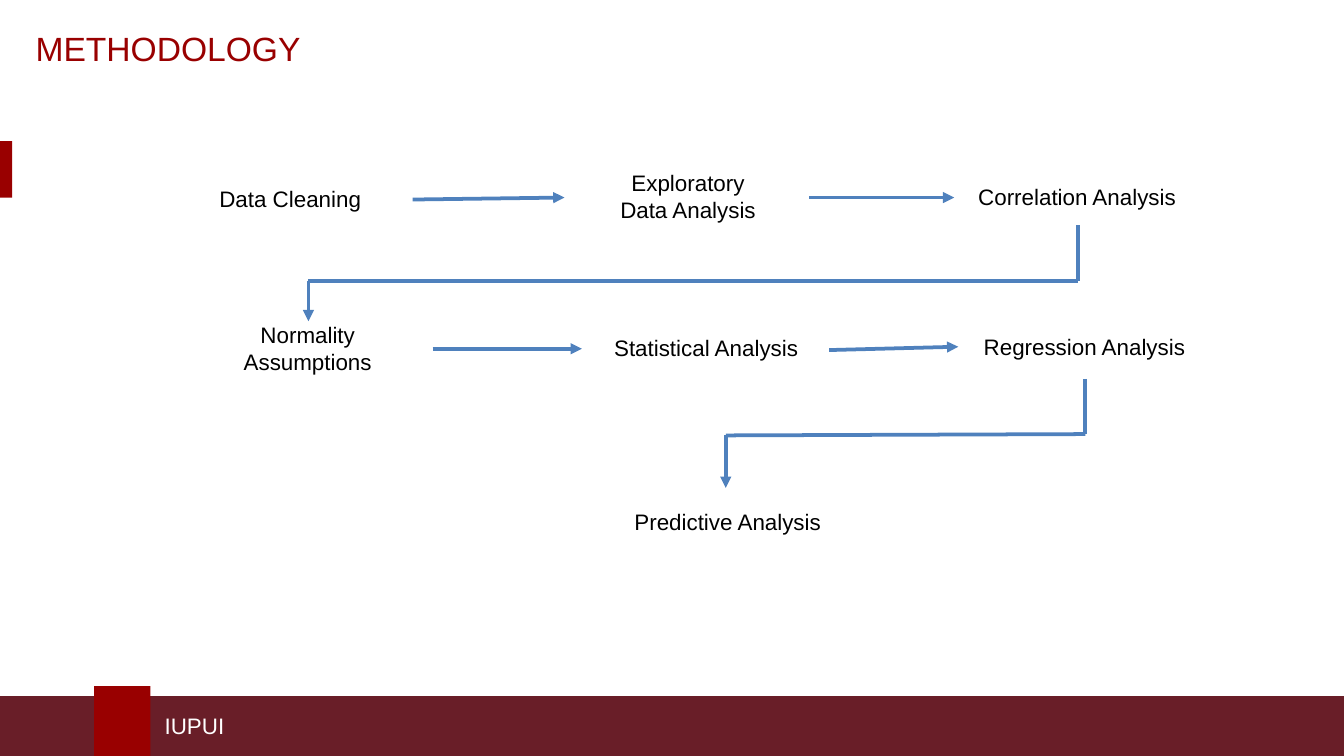
from dataclasses import dataclass
from itertools import pairwise

from lxml import etree
from pptx import Presentation
from pptx.dml.color import RGBColor
from pptx.enum.shapes import MSO_CONNECTOR, MSO_SHAPE
from pptx.enum.text import MSO_ANCHOR, MSO_AUTO_SIZE, PP_ALIGN
from pptx.oxml.ns import qn
from pptx.util import Inches, Length, Pt

RECTANGLE = MSO_SHAPE.RECTANGLE
STRAIGHT = MSO_CONNECTOR.STRAIGHT
TOP = MSO_ANCHOR.TOP
NO_AUTOFIT = MSO_AUTO_SIZE.NONE
LEFT, CENTER = PP_ALIGN.LEFT, PP_ALIGN.CENTER
TITLE_ONLY = 5

# The slide is a grid of square cells, 100 columns by 56.25 rows
CELL = 0.1
COLUMNS, ROWS = 100, 56.25
FONT = "Arial"
RED, MAROON, BLUE = "990000", "691E28", "4F81BD"
BLACK, WHITE = "000000", "FFFFFF"


@dataclass(frozen=True)
class Area:
    column: float
    row: float
    columns: float
    rows: float


@dataclass(frozen=True)
class Block:
    area: Area
    color: str


@dataclass(frozen=True)
class Label:
    text: str
    area: Area
    color: str = BLACK
    size: int = 12
    alignment: int = CENTER
    top_inset: float = 0.1


@dataclass(frozen=True)
class Arrow:
    points: tuple[tuple[float, float], ...]


# Side mark and footer band with its tab, which overlaps the band slightly
BAND_ROW, TAB_ROW, TAB_START, TAB_END = 51.8, 51.05, 7, 11.2
BLOCKS = [
    Block(Area(0, 10.5, 0.9, 4.2), RED),
    Block(Area(0, BAND_ROW, TAB_START, ROWS - BAND_ROW), MAROON),
    Block(Area(TAB_END - 0.1, BAND_ROW, COLUMNS - TAB_END + 0.1,
               ROWS - BAND_ROW), MAROON),
    Block(Area(TAB_START, TAB_ROW, TAB_END - TAB_START, ROWS - TAB_ROW), RED),
]

TITLE = Label("METHODOLOGY", Area(2.65, 2, 20, 3.3), RED, 18, LEFT)
FOOTER = Label("IUPUI", Area(12.25, 53, 4.7, 2.1), WHITE, 12, LEFT, 0)

STEPS = [
    Label("Data Cleaning", Area(16.2, 13.65, 10.8, 2.3)),
    Label("Exploratory\vData Analysis", Area(46, 12.5, 10.4, 4.3)),
    Label("Correlation Analysis", Area(72.6, 13.5, 15.1, 2.3)),
    Label("Normality\vAssumptions", Area(18, 23.8, 9.8, 4.3)),
    Label("Statistical Analysis", Area(45.55, 24.8, 14, 2.3)),
    Label("Regression Analysis", Area(73, 24.7, 15.4, 2.3)),
    Label("Predictive Analysis", Area(47.05, 37.7, 14.2, 2.3)),
]

ARROWS = [
    Arrow(((30.7, 14.85), (42, 14.7))),
    Arrow(((60.2, 14.7), (71, 14.7))),
    Arrow(((80.2, 16.75), (80.2, 20.9), (22.95, 20.9), (22.95, 23.9))),
    Arrow(((32.2, 25.95), (43.3, 25.95))),
    Arrow(((61.7, 26.05), (71.3, 25.8))),
    Arrow(((80.75, 28.2), (80.75, 32.3), (54, 32.4), (54, 36.3))),
]


def cells(count: float) -> Length:
    return Inches(count * CELL)


def rgb(value: str) -> RGBColor:
    return RGBColor.from_string(value)


def bounds(area: Area) -> list[Length]:
    return [cells(n) for n in (area.column, area.row, area.columns, area.rows)]


def apply(target, values: dict) -> None:
    for name, value in values.items():
        setattr(target, name, value)


def draw_block(slide, block: Block) -> None:
    shape = slide.shapes.add_shape(RECTANGLE, *bounds(block.area))
    shape.shadow.inherit = False
    shape.fill.solid()
    shape.fill.fore_color.rgb = rgb(block.color)
    shape.line.fill.background()


def write_label(shape, label: Label) -> None:
    frame = shape.text_frame
    apply(frame, {
        "text": label.text,
        "word_wrap": False,
        "auto_size": NO_AUTOFIT,
        "vertical_anchor": TOP,
        "margin_left": 0,
        "margin_right": 0,
        "margin_top": cells(label.top_inset),
        "margin_bottom": 0,
    })
    paragraph = frame.paragraphs[0]
    apply(paragraph, {"alignment": label.alignment, "line_spacing": 1.0,
                      "space_before": Pt(0)})
    for run in paragraph.runs:
        apply(run.font, {"name": FONT, "size": Pt(label.size), "bold": False})
        run.font.color.rgb = rgb(label.color)


def draw_label(slide, label: Label) -> None:
    write_label(slide.shapes.add_textbox(*bounds(label.area)), label)


def draw_arrow(slide, arrow: Arrow) -> None:
    for start, end in pairwise(arrow.points):
        connector = slide.shapes.add_connector(
            STRAIGHT, *[cells(n) for n in (*start, *end)])
        connector.line.color.rgb = rgb(BLUE)
        connector.line.width = Pt(2)
        properties = connector.element.spPr
        etree.SubElement(properties, qn("a:effectLst"))
        # Only the last leg carries the head
        if end == arrow.points[-1]:
            line = properties.find(qn("a:ln"))
            etree.SubElement(line, qn("a:tailEnd"), type="triangle")


def main() -> None:
    presentation = Presentation()
    apply(presentation, {"slide_width": cells(COLUMNS),
                         "slide_height": cells(ROWS)})
    slide = presentation.slides.add_slide(
        presentation.slide_layouts[TITLE_ONLY])

    # Frame of the slide
    for block in BLOCKS:
        draw_block(slide, block)

    # Title and footer
    title = slide.shapes.title
    apply(title, dict(zip(("left", "top", "width", "height"),
                          bounds(TITLE.area))))
    write_label(title, TITLE)
    draw_label(slide, FOOTER)

    # Flow of the analysis
    for step in STEPS:
        draw_label(slide, step)
    for arrow in ARROWS:
        draw_arrow(slide, arrow)

    presentation.save("out.pptx")


if __name__ == "__main__":
    main()
